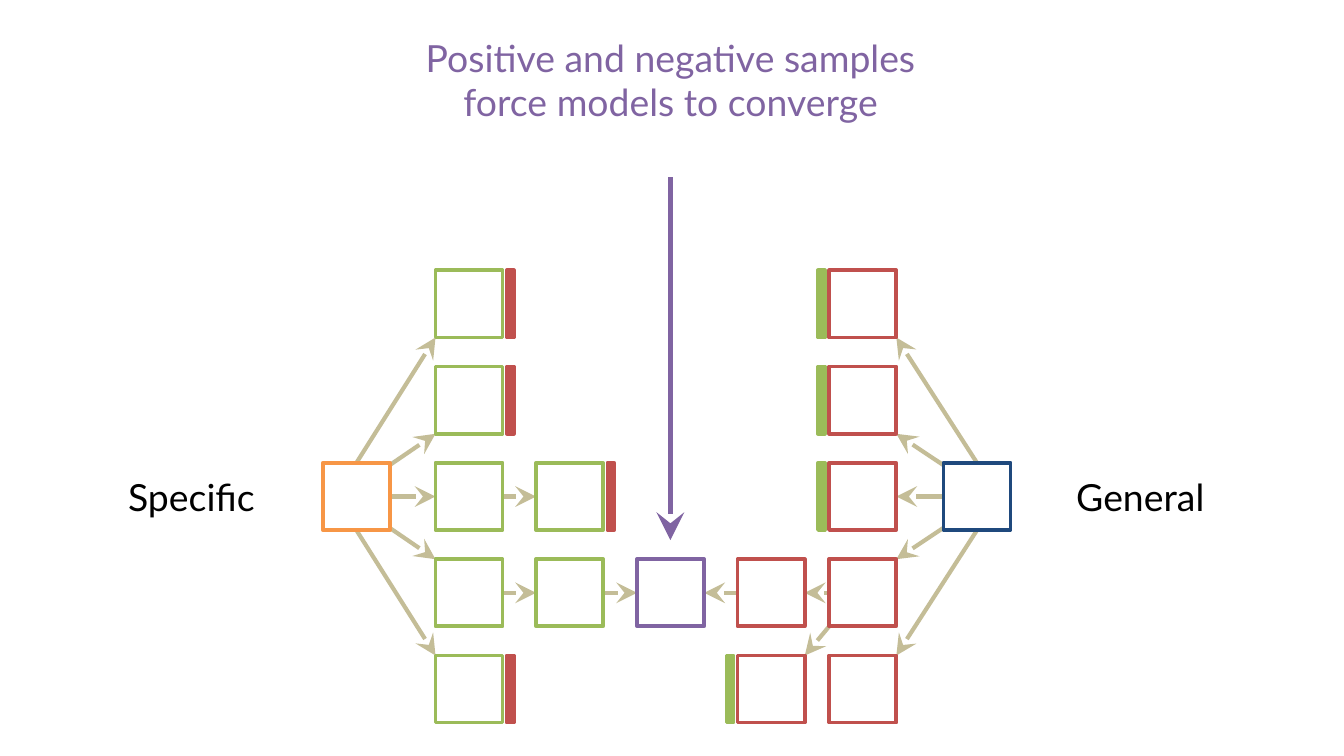
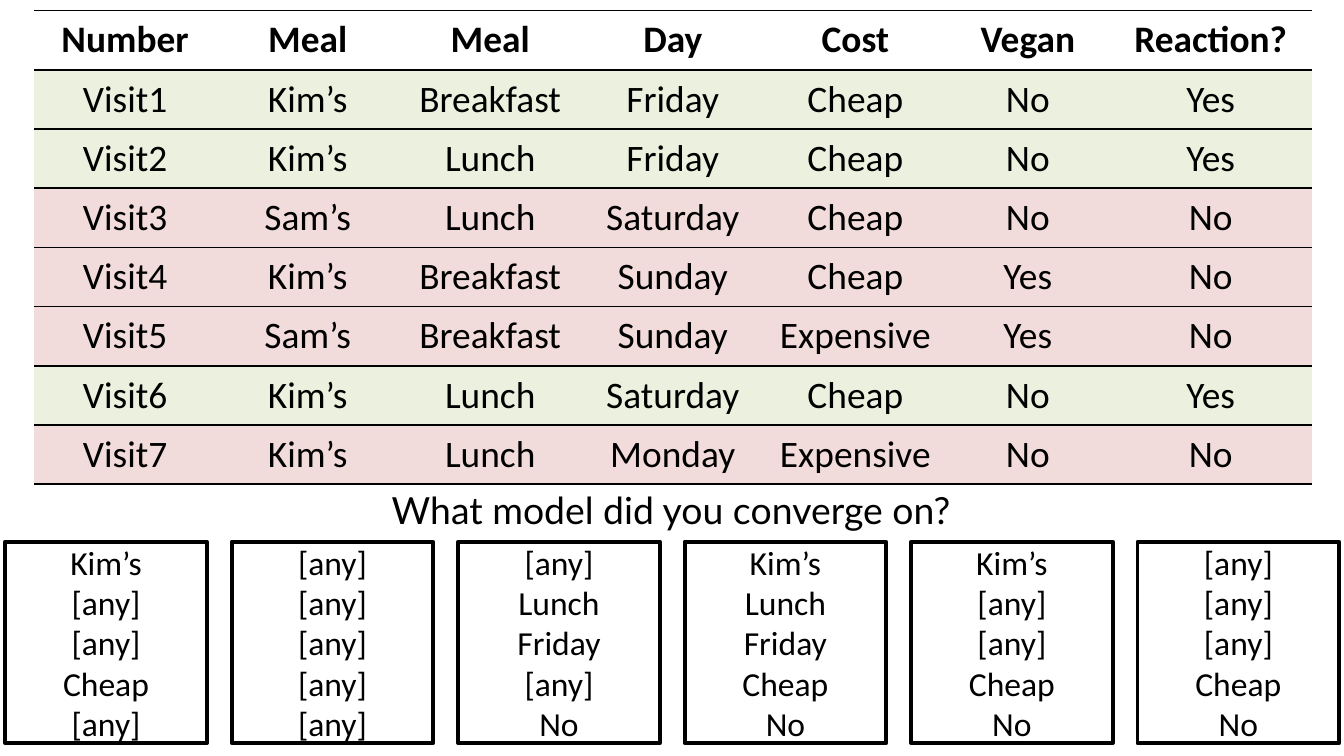
import pptx
import pptx.dml.color
import pptx.enum.shapes
import pptx.enum.text
import pptx.oxml
import pptx.oxml.ns
import pptx.oxml.xmlchemy
import pptx.util
from pptx.util import Cm, Pt

COLOURS = {
    "black": "000000",
    "white": "FFFFFF",
    "arrow": "C4BD97",
    "converged": "8064A2",
    "positive": "9BBB59",
    "negative": "C0504D",
    "specific": "F79646",
    "general": "1F497D",
    "yes row": "EBF1DE",
    "no row": "F2DCDB",
}
PROMPT_FONT = {"name": "Lato", "size": Pt(20), "bold": False}
TABLE_FONT = {"name": "Calibri", "size": Pt(20), "bold": False}
HEADER_FONT = {**TABLE_FONT, "bold": True}
MODEL_FONT = {"name": "Calibri", "size": Pt(18), "bold": False}
NO_MARGINS = dict.fromkeys(
    ("margin_left", "margin_top", "margin_right", "margin_bottom"), 0)
TOP = pptx.enum.text.MSO_ANCHOR.TOP
MIDDLE = pptx.enum.text.MSO_ANCHOR.MIDDLE
PLAIN_TABLE_STYLE = "{2D5ABB26-0587-4C30-8999-92F81FD0307C}"

# Model tree, in centimetres
SIDE = 1.27
ROW_TOPS = [5.11 + 1.82 * row for row in range(5)]
SPECIFIC, GENERAL = (6.1, ROW_TOPS[2]), (17.83, ROW_TOPS[2])
CONVERGED = (12.04, ROW_TOPS[3])
SPECIFIC_COLUMNS = (8.23, 10.13)
GENERAL_COLUMNS = (15.67, 13.94)
# Where each arrow of a fan leaves the hub and meets the square, as shares of a side
FAN = [((0.5, 0), (0, 1)), ((0.84, 0.14), (0, 1)), ((1, 0.5), (0, 0.5)),
       ((0.84, 0.86), (0, 0)), ((0.5, 1), (0, 0))]

VISITS = [
    ("Number", "Meal", "Meal", "Day", "Cost", "Vegan", "Reaction?"),
    ("Visit1", "Kim’s", "Breakfast", "Friday", "Cheap", "No", "Yes"),
    ("Visit2", "Kim’s", "Lunch", "Friday", "Cheap", "No", "Yes"),
    ("Visit3", "Sam’s", "Lunch", "Saturday", "Cheap", "No", "No"),
    ("Visit4", "Kim’s", "Breakfast", "Sunday", "Cheap", "Yes", "No"),
    ("Visit5", "Sam’s", "Breakfast", "Sunday", "Expensive", "Yes", "No"),
    ("Visit6", "Kim’s", "Lunch", "Saturday", "Cheap", "No", "Yes"),
    ("Visit7", "Kim’s", "Lunch", "Monday", "Expensive", "No", "No"),
]
VISIT_WIDTHS = [3.45] * 5 + [3.07, 3.84]
MODELS = [
    ("Kim’s", "[any]", "[any]", "Cheap", "[any]"),
    ("[any]", "[any]", "[any]", "[any]", "[any]"),
    ("[any]", "Lunch", "Friday", "[any]", "No"),
    ("Kim’s", "Lunch", "Friday", "Cheap", "No"),
    ("Kim’s", "[any]", "[any]", "Cheap", "No"),
    ("[any]", "[any]", "[any]", "Cheap", "No"),
]


def rgb(colour):
    return pptx.dml.color.RGBColor.from_string(COLOURS[colour])


def set_attributes(target, values):
    for name, value in values.items():
        setattr(target, name, value)


def write_text(text_frame, text, font, colour="black"):
    """Fill a frame with centred text, one paragraph a line."""
    text_frame.text = text
    for paragraph in text_frame.paragraphs:
        paragraph.alignment = pptx.enum.text.PP_ALIGN.CENTER
        for run in paragraph.runs:
            set_attributes(run.font, font)
            run.font.color.rgb = rgb(colour)


def format_frame(text_frame, anchor, margins=None):
    set_attributes(text_frame, {
        "word_wrap": True,
        "auto_size": pptx.enum.text.MSO_AUTO_SIZE.NONE,
        "vertical_anchor": anchor,
        **(margins or {}),
    })


def set_title(slide, text, left, top, width, height, anchor, colour="black"):
    title = slide.shapes.title
    set_attributes(title, {"left": Cm(left), "top": Cm(top),
                           "width": Cm(width), "height": Cm(height)})
    format_frame(title.text_frame, anchor)
    write_text(title.text_frame, text, PROMPT_FONT, colour)


def add_label(slide, text, left):
    label = slide.shapes.add_textbox(Cm(left), Cm(7.98), Cm(4.9), Cm(2.82))
    format_frame(label.text_frame, MIDDLE)
    write_text(label.text_frame, text, PROMPT_FONT)


def add_box(slide, left, top, width, height, line, fill="white"):
    box = slide.shapes.add_shape(pptx.enum.shapes.MSO_SHAPE.RECTANGLE,
                                 Cm(left), Cm(top), Cm(width), Cm(height))
    box.shadow.inherit = False
    box.fill.solid()
    box.fill.fore_color.rgb = rgb(fill)
    box.line.color.rgb = rgb(line)
    box.line.width = Pt(2)
    return box


def add_square(slide, corner, colour):
    add_box(slide, *corner, SIDE, SIDE, colour)


def add_bar(slide, corner, offset, colour):
    """Mark a square as closed off by a sample of the given colour."""
    add_box(slide, corner[0] + offset, corner[1], 0.13, SIDE, colour, colour)


def add_arrow(slide, start, end, colour="arrow", width=2.25):
    arrow = slide.shapes.add_connector(
        pptx.enum.shapes.MSO_CONNECTOR.STRAIGHT, *map(Cm, start + end))
    arrow.line.color.rgb = rgb(colour)
    arrow.line.width = Pt(width)
    head = pptx.oxml.xmlchemy.OxmlElement("a:tailEnd")
    for name, value in {"type": "stealth", "w": "lg", "len": "lg"}.items():
        head.set(name, value)
    properties = arrow._element.spPr
    properties.find(pptx.oxml.ns.qn("a:ln")).append(head)
    properties.append(pptx.oxml.xmlchemy.OxmlElement("a:effectLst"))


def link_squares(slide, source, target, leave=(1, 0.5), enter=(0, 0.5)):
    """Join two squares at shares of their sides, mirrored when heading left."""
    mirrored = target[0] < source[0]
    points = []
    for (left, top), (across, down) in ((source, leave), (target, enter)):
        across = 1 - across if mirrored else across
        points.append((left + across * SIDE, top + down * SIDE))
    add_arrow(slide, *points)


def add_tree(slide, hub, hub_colour, colour, first, second, links):
    """Draw a hub, its fan of five squares and the squares further in."""
    for target, (leave, enter) in zip(first, FAN):
        link_squares(slide, hub, target, leave, enter)
    for link in links:
        link_squares(slide, *link)
    add_square(slide, hub, hub_colour)
    for corner in first + second:
        add_square(slide, corner, colour)


def build_convergence_slide(slide):
    set_title(slide, "Positive and negative samples force models to converge",
              7.57, 0.53, 10.21, 2.82, TOP, "converged")

    first, second = ([(left, top) for top in ROW_TOPS]
                     for left in SPECIFIC_COLUMNS)
    add_tree(slide, SPECIFIC, "specific", "positive", first, second[2:4],
             [(first[2], second[2]), (first[3], second[3]),
              (second[3], CONVERGED)])
    for corner in (first[0], first[1], second[2], first[4]):
        add_bar(slide, corner, 1.35, "negative")

    first, second = ([(left, top) for top in ROW_TOPS]
                     for left in GENERAL_COLUMNS)
    add_tree(slide, GENERAL, "general", "negative", first, second[3:],
             [(first[3], second[3]), (second[3], CONVERGED),
              (first[3], second[4], (1, 1), (0, 0))])
    for corner in (*first[:3], second[4]):
        add_bar(slide, corner, -0.21, "positive")

    add_square(slide, CONVERGED, "converged")
    add_arrow(slide, (12.67, 3.35), (12.67, 10.21), "converged", 3)
    add_label(slide, "Specific", 1.17)
    add_label(slide, "General", 19.1)


def add_cell_rules(cell):
    """Rule a cell above and below in black."""
    properties = cell._tc.get_or_add_tcPr()
    for position, side in enumerate(("lnT", "lnB")):
        properties.insert(position, pptx.oxml.parse_xml(
            f'<a:{side} {pptx.oxml.ns.nsdecls("a")} w="12700"><a:solidFill>'
            f'<a:srgbClr val="{COLOURS["black"]}"/></a:solidFill></a:{side}>'))


def add_visit_table(slide):
    frame = slide.shapes.add_table(len(VISITS), len(VISIT_WIDTHS), Cm(0.64),
                                   Cm(0.2), Cm(sum(VISIT_WIDTHS)), Cm(8.8))
    table = frame.table
    table.horz_banding = False
    table._tbl.tblPr.find(
        pptx.oxml.ns.qn("a:tableStyleId")).text = PLAIN_TABLE_STYLE
    for column, width in zip(table.columns, VISIT_WIDTHS):
        column.width = Cm(width)
    for number, (row, visit) in enumerate(zip(table.rows, VISITS)):
        row.height = Cm(1.1)
        for cell, text in zip(row.cells, visit):
            write_text(cell.text_frame, text,
                       TABLE_FONT if number else HEADER_FONT)
            cell.vertical_anchor = TOP if number else MIDDLE
            if number:
                cell.fill.solid()
                cell.fill.fore_color.rgb = rgb(
                    "yes row" if visit[-1] == "Yes" else "no row")
            add_cell_rules(cell)


def build_model_slide(slide):
    add_visit_table(slide)
    for number, model in enumerate(MODELS):
        box = add_box(slide, 0.1 + 4.28 * number, 10.24, 3.81, 3.81, "black")
        format_frame(box.text_frame, MIDDLE, NO_MARGINS)
        write_text(box.text_frame, "\n".join(model), MODEL_FONT)
    set_title(slide, "What model did you converge on?",
              0.1, 9.14, 25.17, 1, MIDDLE)


def main():
    presentation = pptx.Presentation()
    presentation.slide_width = Cm(25.4)
    presentation.slide_height = Cm(14.29)
    title_only = presentation.slide_layouts.get_by_name("Title Only")
    for build in (build_convergence_slide, build_model_slide):
        build(presentation.slides.add_slide(title_only))
    presentation.save("out.pptx")


if __name__ == "__main__":
    main()
